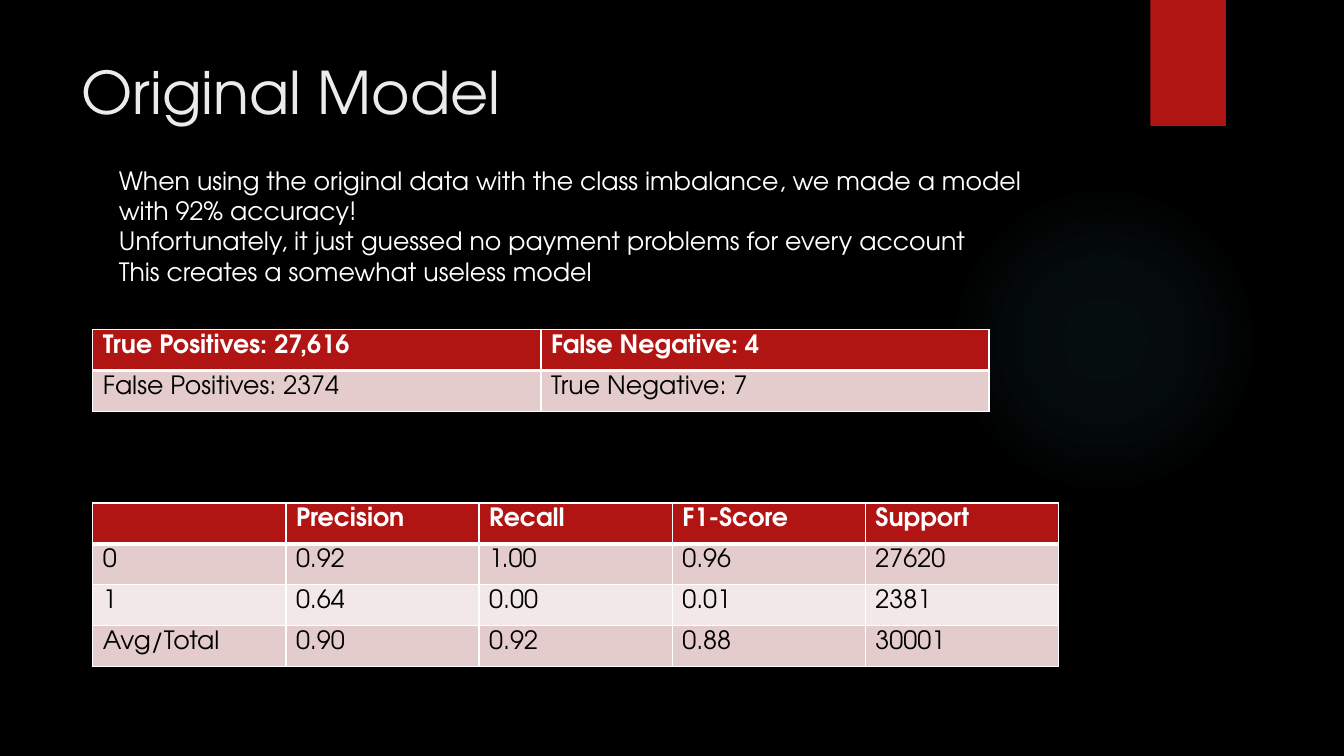
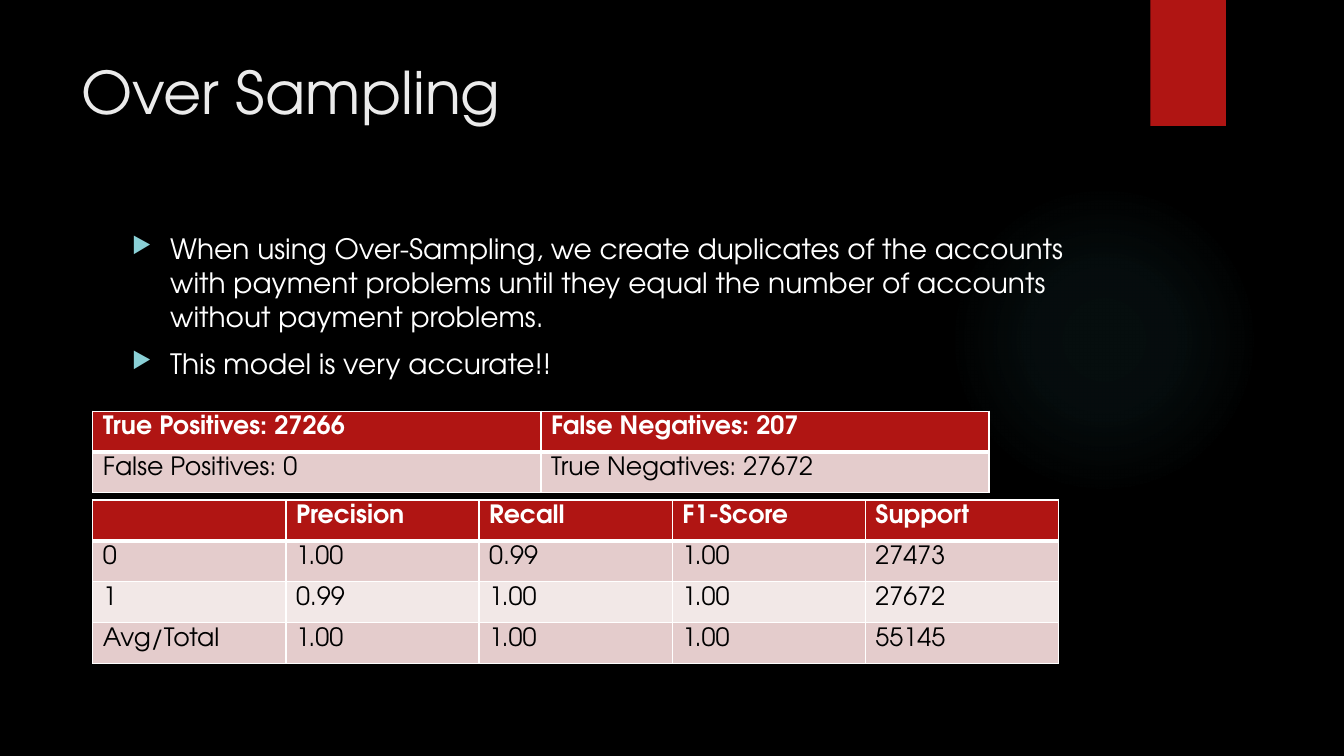
from dataclasses import dataclass

from lxml import etree
from pptx import Presentation
from pptx.dml.color import RGBColor as RGB
from pptx.enum.shapes import MSO_SHAPE as Shape
from pptx.enum.text import MSO_ANCHOR as Anchor
from pptx.oxml import parse_xml
from pptx.oxml.ns import nsdecls, qn
from pptx.util import Inches, Pt


@dataclass(frozen=True)
class Theme:
    """Colours, font and type sizes of the deck."""
    font: str = "TeX Gyre Adventor"
    background: str = "000000"
    accent: str = "B01513"
    glow: str = "50B9C1"
    bullet: str = "8AD0D6"
    title: str = "EBEBEB"
    light: str = "FFFFFF"
    dark: str = "000000"
    bands: tuple = ("E4CCCC", "F2E8E7")
    title_size: int = 42
    body_size: int = 20
    small_size: int = 18
    thin_rule: int = 1
    thick_rule: int = 3


THEME = Theme()
TABLE_LEFT = 0.92
ROW_PAIR_HEIGHT = 0.81
MATRIX_WIDTH = 8.89
SCORES_WIDTH = 9.58
SCORE_HEADINGS = ("", "Precision", "Recall", "F1-Score", "Support")


def add_run(paragraph, text, size, color, bold=False):
    """Add one styled run to a paragraph."""
    run = paragraph.add_run()
    run.text = text
    run.font.name = THEME.font
    run.font.size = Pt(size)
    run.font.bold = bold
    run.font.color.rgb = RGB.from_string(color)


def add_bullet(paragraph):
    """Give a paragraph a hanging triangle bullet."""
    paragraph.space_before = Pt(10)
    properties = paragraph._p.get_or_add_pPr()
    properties.set("marL", str(Inches(0.38)))
    properties.set("indent", str(Inches(-0.38)))
    color = etree.SubElement(properties, qn("a:buClr"))
    etree.SubElement(color, qn("a:srgbClr"), val=THEME.bullet)
    etree.SubElement(properties, qn("a:buSzPct"), val="80000")
    etree.SubElement(properties, qn("a:buChar"), char="▶")


def add_text(slide, box, lines, size, color, bulleted=False):
    """Add a wrapped text box with one paragraph per line."""
    frame = slide.shapes.add_textbox(*map(Inches, box)).text_frame
    frame.word_wrap = True
    frame.vertical_anchor = Anchor.TOP
    for index, line in enumerate(lines):
        paragraph = frame.add_paragraph() if index else frame.paragraphs[0]
        if bulleted:
            add_bullet(paragraph)
        add_run(paragraph, line, size, color)


def add_plain_shape(slide, kind, box):
    """Add a preset shape without outline or inherited shadow."""
    shape = slide.shapes.add_shape(kind, *map(Inches, box))
    shape.shadow.inherit = False
    shape.line.fill.background()
    return shape


def add_glow(slide):
    """Add the faint round glow behind the content."""
    glow = add_plain_shape(slide, Shape.OVAL, (9.41, 1.83, 3.08, 3.08))
    glow.fill.background()
    stops = "".join(
        f'<a:gs pos="{position * 1000}"><a:srgbClr val="{THEME.glow}">'
        f'<a:alpha val="{alpha * 1000}"/></a:srgbClr></a:gs>'
        for position, alpha in ((0, 7), (36, 6), (69, 0)))
    gradient = parse_xml(
        f'<a:gradFill {nsdecls("a")} rotWithShape="1"><a:gsLst>{stops}</a:gsLst>'
        '<a:path path="circle"><a:fillToRect l="50000" t="50000" r="50000" b="50000"/>'
        '</a:path></a:gradFill>')
    properties = glow._element.spPr
    properties.replace(properties.find(qn("a:noFill")), gradient)


def add_ribbon(slide):
    """Add the red ribbon with its soft shadow at the top edge."""
    ribbon = add_plain_shape(slide, Shape.RECTANGLE, (11.41, 0, 0.75, 1.25))
    ribbon.fill.solid()
    ribbon.fill.fore_color.rgb = RGB.from_string(THEME.accent)
    effects = ribbon._element.spPr.find(qn("a:effectLst"))
    effects.append(parse_xml(
        f'<a:outerShdw {nsdecls("a")} blurRad="{Pt(3)}" dist="{Pt(2)}" dir="5400000">'
        '<a:srgbClr val="000000"><a:alpha val="45000"/></a:srgbClr></a:outerShdw>'))


def add_titled_slide(deck, title):
    """Add a slide with the shared decoration and a title."""
    slide = deck.slides.add_slide(deck.slide_layouts[6])
    add_glow(slide)
    add_ribbon(slide)
    add_text(slide, (0.71, 0.5, 10.29, 1.53), [title], THEME.title_size, THEME.title)
    return slide


def set_borders(cell, row):
    """Rule a cell in white, thick between heading and body."""
    properties = cell._tc.get_or_add_tcPr()
    thick_side = {0: "B", 1: "T"}.get(row)
    for side in "LRTB":
        width = THEME.thick_rule if side == thick_side else THEME.thin_rule
        rule = etree.SubElement(properties, qn(f"a:ln{side}"), w=str(Pt(width)))
        fill = etree.SubElement(rule, qn("a:solidFill"))
        etree.SubElement(fill, qn("a:srgbClr"), val=THEME.light)


def add_banded_table(slide, top, width, rows):
    """Add a table with a red heading row and banded body rows."""
    height = Inches(ROW_PAIR_HEIGHT) * len(rows) // 2
    table = slide.shapes.add_table(
        len(rows), len(rows[0]), Inches(TABLE_LEFT), Inches(top),
        Inches(width), height).table
    for row, values in enumerate(rows):
        heading = row == 0
        fill = THEME.accent if heading else THEME.bands[(row - 1) % 2]
        color = THEME.light if heading else THEME.dark
        for column, value in enumerate(values):
            cell = table.cell(row, column)
            set_borders(cell, row)
            cell.fill.solid()
            cell.fill.fore_color.rgb = RGB.from_string(fill)
            if value:
                add_run(cell.text_frame.paragraphs[0], value,
                        THEME.small_size, color, heading)


def add_results(slide, matrix_top, matrix, scores_top, scores):
    """Add the confusion matrix and the score table of a model."""
    add_banded_table(slide, matrix_top, MATRIX_WIDTH, matrix)
    add_banded_table(slide, scores_top, SCORES_WIDTH, [SCORE_HEADINGS, *scores])


def build_original_model(deck):
    """Build the slide on the imbalanced model."""
    slide = add_titled_slide(deck, "Original Model")
    add_text(slide, (1.08, 1.59, 9.42, 1.31), [
        "When using the original data with the class imbalance, we made a model "
        "with 92% accuracy!",
        "Unfortunately, it just guessed no payment problems for every account",
        "This creates a somewhat useless model",
    ], THEME.small_size, THEME.light)
    add_results(
        slide,
        3.27, [("True Positives: 27,616", "False Negative: 4"),
               ("False Positives: 2374", "True Negative: 7")],
        4.99, [("0", "0.92", "1.00", "0.96", "27620"),
               ("1", "0.64", "0.00", "0.01", "2381"),
               ("Avg/Total", "0.90", "0.92", "0.88", "30001")])


def build_over_sampling(deck):
    """Build the slide on the over-sampled model."""
    slide = add_titled_slide(deck, "Over Sampling")
    add_text(slide, (1.21, 2.25, 9.78, 4.59), [
        "When using Over-Sampling, we create duplicates of the accounts with payment "
        "problems until they equal the number of accounts without payment problems.",
        "This model is very accurate!!",
    ], THEME.body_size, THEME.light, bulleted=True)
    add_results(
        slide,
        4.08, [("True Positives: 27266", "False Negatives: 207"),
               ("False Positives: 0", "True Negatives: 27672")],
        4.96, [("0", "1.00", "0.99", "1.00", "27473"),
               ("1", "0.99", "1.00", "1.00", "27672"),
               ("Avg/Total", "1.00", "1.00", "1.00", "55145")])


def main():
    """Build and save the deck."""
    deck = Presentation()
    deck.slide_width, deck.slide_height = Inches(13.33), Inches(7.5)
    backdrop = deck.slide_master.background.fill
    backdrop.solid()
    backdrop.fore_color.rgb = RGB.from_string(THEME.background)
    build_original_model(deck)
    build_over_sampling(deck)
    deck.save("out.pptx")


if __name__ == "__main__":
    main()
